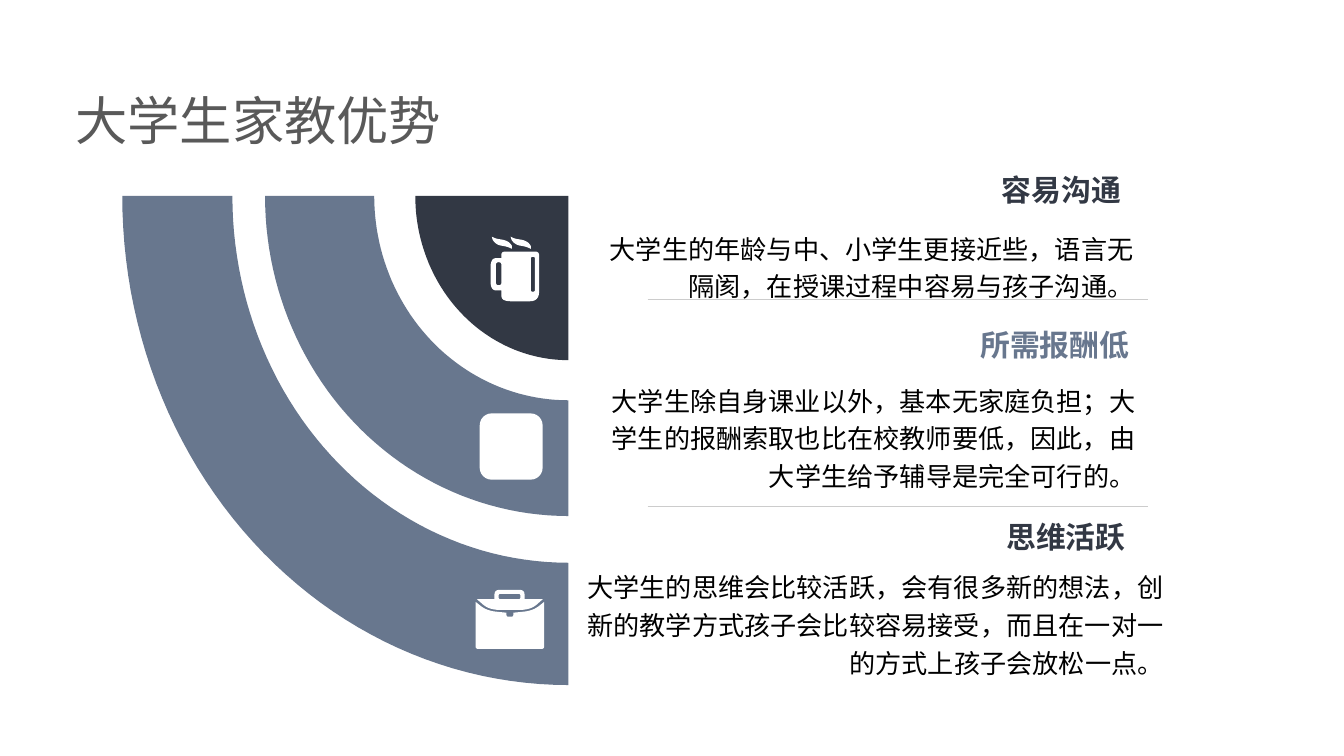
import math
import pptx
import pptx.util
import pptx.dml.color
import pptx.enum.shapes
import pptx.enum.text
import pptx.oxml.ns
from lxml import etree

Pt = pptx.util.Pt
RGBColor = pptx.dml.color.RGBColor
PP_ALIGN = pptx.enum.text.PP_ALIGN
MSO_ANCHOR = pptx.enum.text.MSO_ANCHOR
MSO_SHAPE = pptx.enum.shapes.MSO_SHAPE
qn = pptx.oxml.ns.qn

SLATE = RGBColor(0x68, 0x77, 0x8E)
NAVY = RGBColor(0x32, 0x38, 0x44)
WHITE = RGBColor(0xFF, 0xFF, 0xFF)
BLACK = RGBColor(0, 0, 0)
GREY = RGBColor(0x59, 0x59, 0x59)
RULE = RGBColor(0xCC, 0xCC, 0xCC)
CJK = "Noto Sans CJK SC"


def paint(sp, color):
    sp.shadow.inherit = False
    sp.fill.solid()
    sp.fill.fore_color.rgb = color
    sp.line.fill.background()


def add_outline(s, left, top, contours, color):
    def at(point):
        return Pt(left + point[0]), Pt(top + point[1])

    builder = s.shapes.build_freeform(*at(contours[0][0]))
    for i, contour in enumerate(contours):
        if i:
            builder.move_to(*at(contour[0]))
        builder.add_line_segments([at(point) for point in contour[1:]])
    paint(builder.convert_to_shape(), color)


def soften(corners, steps=6):
    points = []
    for i, (x, y, radius) in enumerate(corners):
        ends = []
        for nx, ny, _ in (corners[i - 1], corners[(i + 1) % len(corners)]):
            k = min(0.5, radius / math.hypot(nx - x, ny - y))
            ends.append((x + (nx - x) * k, y + (ny - y) * k))
        (ax, ay), (bx, by) = ends
        for n in range(steps + 1 if radius else 1):
            t = n / steps
            points.append(((1 - t) ** 2 * ax + 2 * t * (1 - t) * x + t * t * bx,
                           (1 - t) ** 2 * ay + 2 * t * (1 - t) * y + t * t * by))
    return points


def box(left, top, right, bottom, radius):
    return soften([(left, top, radius), (right, top, radius),
                   (right, bottom, radius), (left, bottom, radius)])


def arc(rx, ry, steps=48):
    angles = [math.pi / 2 * n / steps for n in range(steps + 1)]
    return [(-rx * math.cos(a), ry * math.sin(a)) for a in angles]


def add_rings(s, right, top):
    rings = [(239, 262, 180, 196.5, SLATE), (162.5, 171.5, 104, 109.5, SLATE),
             (82, 88, 0, 0, NAVY)]
    for rx, ry, inner_rx, inner_ry, color in rings:
        inner = arc(inner_rx, inner_ry)[::-1] if inner_rx else [(0, 0)]
        add_outline(s, right, top, [arc(rx, ry) + inner], color)


def add_cup(s, left, top):
    cup = soften([(5.8, 8, 2), (26, 8, 2), (26, 34.6, 5), (5.8, 34.6, 5),
                  (5.8, 28.8, 0), (0, 28.8, 5), (0, 11.5, 5), (5.8, 11.5, 0)])
    wisp = [(0, 0, 0), (2, 1, 1), (8, 2, 3), (10.8, 4.5, 2), (10.8, 6.5, 0),
            (8, 5.3, 2), (3, 4.5, 3), (0.5, 2, 1)]
    steam = [soften([(x + dx, y, r) for x, y, r in wisp]) for dx in (0.7, 10.8)]
    add_outline(s, left, top, [cup, box(2.9, 13.7, 5.8, 26, 1.4),
                               box(21.6, 10.8, 23.8, 29.5, 1)] + steam, WHITE)


def add_tile(s, left, top, width, height):
    sp = s.shapes.add_shape(MSO_SHAPE.ROUNDED_RECTANGLE,
                            Pt(left), Pt(top), Pt(width), Pt(height))
    sp.adjustments[0] = 0.19
    paint(sp, WHITE)


def add_briefcase(s, left, top):
    case = soften([(0, 6.5, 0), (6, 11.2, 5), (16.5, 12.3, 0), (16.5, 14.4, 1),
                   (20.2, 14.4, 1), (20.2, 12.3, 0), (30.7, 11.2, 5),
                   (36.7, 6.5, 0), (36.7, 31.7, 1.4), (0, 31.7, 1.4)])
    flap = soften([(0.7, 5, 0), (10.1, 5, 0), (10.1, 0, 3), (26.2, 0, 3),
                   (26.2, 5, 0), (36, 5, 0), (29.5, 10.8, 6), (7.2, 10.8, 6)])
    add_outline(s, left, top, [case, flap, box(12.3, 2.2, 24, 5, 1)], WHITE)


def add_run(p, text, size, color, font, bold=False):
    r = p.add_run()
    r.text = text
    r.font.size = Pt(size)
    r.font.bold = bold
    r.font.name = font
    r.font.color.rgb = color
    etree.SubElement(r._r.get_or_add_rPr(), qn("a:ea")).set("typeface", CJK)


def add_text(s, left, top, width, height, text, size, color, bold, spacing):
    tf = s.shapes.add_textbox(Pt(left), Pt(top), Pt(width), Pt(height)).text_frame
    tf.word_wrap = True
    tf.margin_left = tf.margin_right = tf.margin_top = tf.margin_bottom = 0
    p = tf.paragraphs[0]
    p.alignment = PP_ALIGN.RIGHT
    p.line_spacing = spacing
    add_run(p, text, size, color, CJK, bold)


def add_point(s, heading_box, body_box, heading, body, color):
    add_text(s, *body_box, body, 14, BLACK, False, 1.2)
    add_text(s, *heading_box, heading, 16, color, True, 1.0)


def add_rule(s, left, y, width):
    line = s.shapes.add_connector(pptx.enum.shapes.MSO_CONNECTOR.STRAIGHT,
                                  Pt(left), Pt(y), Pt(left + width), Pt(y))
    line.line.color.rgb = RULE
    line.line.width = Pt(0.75)
    etree.SubElement(line._element.spPr, qn("a:effectLst"))


def add_title(s, left, top, width, height, text):
    sp = s.shapes.title
    sp.left, sp.top, sp.width, sp.height = Pt(left), Pt(top), Pt(width), Pt(height)
    tf = sp.text_frame
    tf.auto_size = pptx.enum.text.MSO_AUTO_SIZE.NONE
    tf.word_wrap = True
    tf.vertical_anchor = MSO_ANCHOR.MIDDLE
    tf.margin_left = tf.margin_right = 0
    tf.margin_top = tf.margin_bottom = Pt(3.6)
    p = tf.paragraphs[0]
    p.alignment = PP_ALIGN.LEFT
    add_run(p, text, 28, GREY, "Arial")


def add_advantages_slide(prs):
    s = prs.slides.add_slide(prs.slide_layouts[5])
    add_title(s, 40.5, 49, 215, 30, "大学生家教优势")
    add_rings(s, 304.5, 105)
    add_cup(s, 262.8, 126.8)
    add_tile(s, 257, 221.5, 33.7, 35.5)
    add_briefcase(s, 254.8, 316)
    points = [
        ((314.5, 92, 286, 29.5), (314.5, 121.5, 293, 49), "容易沟通",
         "大学生的年龄与中、小学生更接近些，语言无隔阂，在授课过程中容易与孩子沟通。", NAVY),
        ((319, 175, 286, 29.5), (322.5, 203, 286, 68.5), "所需报酬低",
         "大学生除自身课业以外，基本无家庭负担；大学生的报酬索取也比在校教师要低，"
         "因此，由大学生给予辅导是完全可行的。", SLATE),
        ((317, 278, 286, 29.5), (314.5, 303, 309, 57.5), "思维活跃",
         "大学生的思维会比较活跃，会有很多新的想法，创新的教学方式孩子会比较容易接受，"
         "而且在一对一的方式上孩子会放松一点。", NAVY),
    ]
    for point in points:
        add_point(s, *point)
    for y in (160.5, 271.5):
        add_rule(s, 347, y, 268)


prs = pptx.Presentation()
prs.slide_width, prs.slide_height = Pt(720), Pt(405)
add_advantages_slide(prs)
prs.save("out.pptx")
